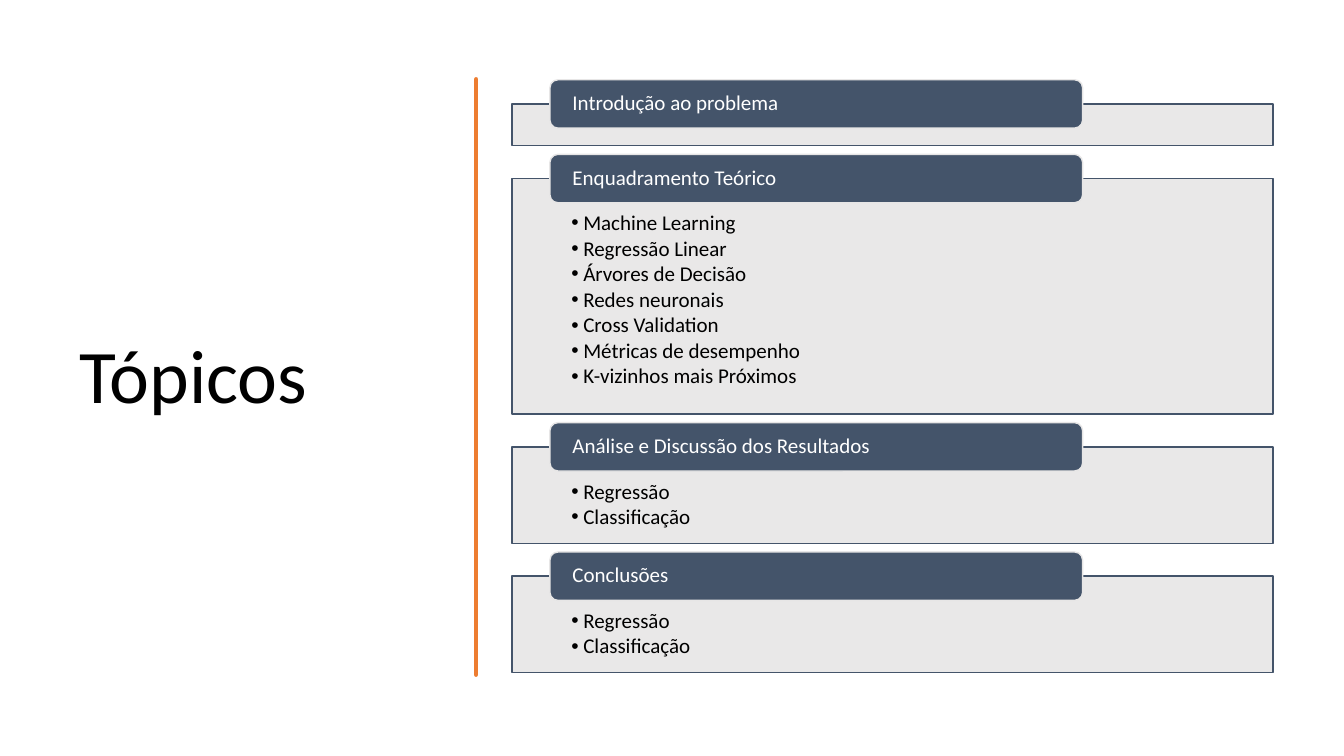
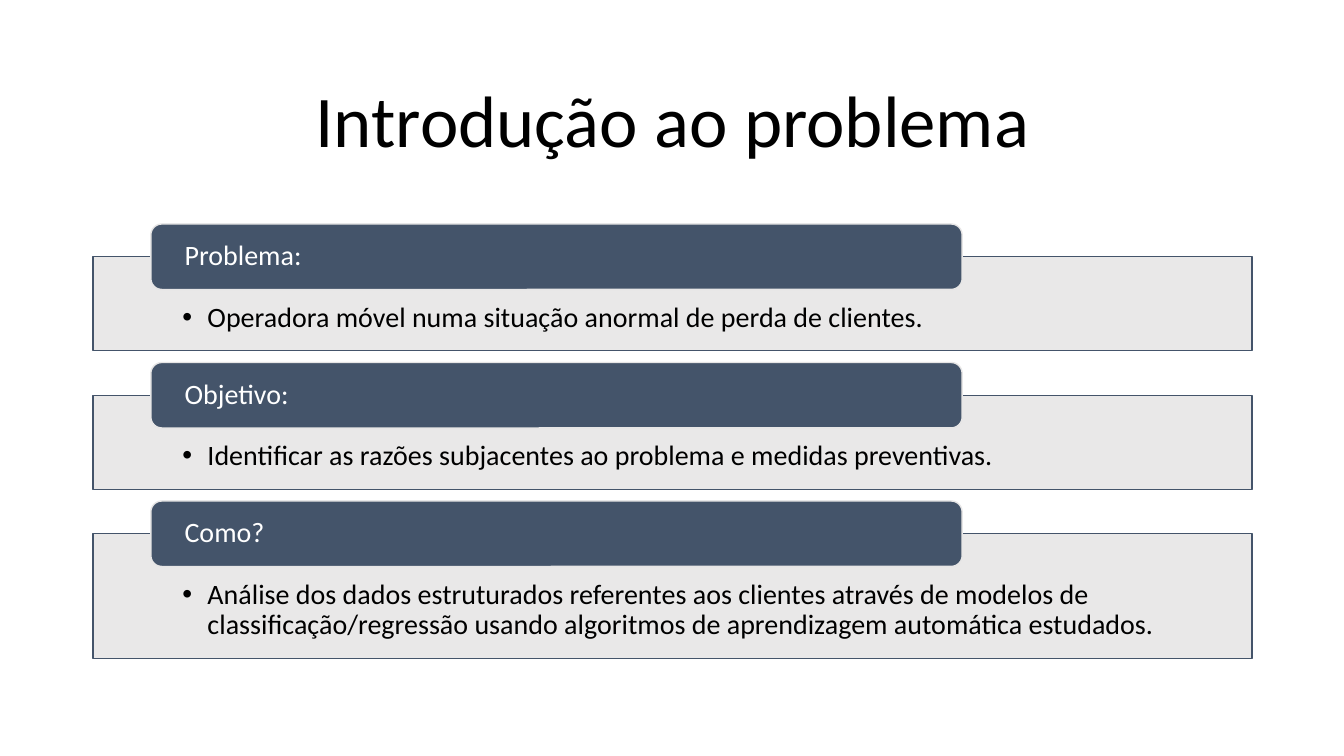
from dataclasses import dataclass

from lxml.etree import SubElement
from pptx import Presentation
from pptx.dml.color import RGBColor
from pptx.enum.shapes import MSO_SHAPE
from pptx.enum.text import MSO_ANCHOR, PP_ALIGN
from pptx.oxml.ns import qn
from pptx.util import Cm, Pt

COLOURS = {
    "text": "000000",
    "tab": "44546A",
    "tab_text": "FFFFFF",
    "panel": "E7E6E6",
    "brush": "ED7D31",
}
FONT = "Calibri"
LINE_SPACING = 0.9
TITLE_ONLY = 5

BRUSH_X = 12.04
BRUSH_RIGHT = [
    (2.13, 0.03), (2.95, 0.06), (3.8, 0.03), (4.6, 0.04), (5.7, 0.02), (6.6, 0.02),
    (7.5, 0.04), (8.4, 0.06), (9.1, 0.03), (10.1, 0.06), (11, 0.04), (11.9, 0.01),
    (12.9, 0.03), (13.9, 0.07), (14.8, 0.03), (15.9, 0.02), (17.17, 0.03),
]
BRUSH_LEFT = [
    (17.17, -0.03), (16.3, -0.06), (15.5, -0.04), (14.6, -0.04), (13.6, -0.05),
    (12.7, -0.03), (11.7, -0.03), (11.1, -0.06), (10.3, -0.03), (9, -0.06),
    (8, -0.04), (7, -0.05), (6, -0.03), (5.2, -0.01), (4.4, -0.07), (3.4, -0.03),
    (2.13, -0.03),
]


@dataclass
class SectionStyle:
    left: float
    top: float
    width: float
    gap: float
    tab_height: float
    tab_margin: float
    panel_margins: tuple
    indent: float
    size: int


TOPICS_STYLE = SectionStyle(12.9, 2.62, 19.18, 0.83, 1.22, 0.51, (1.5, 0.86, 1.5, 0.3), 0.3, 15)
PROBLEM_STYLE = SectionStyle(2.34, 6.47, 29.21, 1.12, 1.65, 0.77, (2.26, 1.17, 2.26, 0.41), 0.63, 20)

TOPICS = [
    ("Introdução ao problema", 1.05, []),
    ("Enquadramento Teórico", 5.93, [
        "Machine Learning",
        "Regressão Linear",
        "Árvores de Decisão",
        "Redes neuronais",
        "Cross Validation",
        "Métricas de desempenho",
        "K-vizinhos mais Próximos",
    ]),
    ("Análise e Discussão dos Resultados", 2.43, ["Regressão", "Classificação"]),
    ("Conclusões", 2.43, ["Regressão", "Classificação"]),
]
PROBLEM = [
    ("Problema:", 2.37, ["Operadora móvel numa situação anormal de perda de clientes."]),
    ("Objetivo:", 2.37, ["Identificar as razões subjacentes ao problema e medidas preventivas."]),
    ("Como?", 3.15, [
        "Análise dos dados estruturados referentes aos clientes através de modelos de "
        "classificação/regressão usando algoritmos de aprendizagem automática estudados."
    ]),
]


def colour(name):
    return RGBColor.from_string(COLOURS[name])


def set_format(target, values):
    for name, value in values.items():
        setattr(target, name, value)


def paint(shape, fill, line, width):
    shape.shadow.inherit = False
    shape.fill.solid()
    shape.fill.fore_color.rgb = colour(fill)
    shape.line.color.rgb = colour(line)
    shape.line.width = Pt(width)


def set_margins(frame, margins):
    sides = ("margin_left", "margin_top", "margin_right", "margin_bottom")
    set_format(frame, dict(zip(sides, map(Cm, margins))))


def write_text(para, text, size, ink, align=PP_ALIGN.LEFT, space_after=0):
    set_format(para, {
        "alignment": align,
        "line_spacing": LINE_SPACING,
        "space_after": Pt(space_after),
    })
    span = para.add_run()
    span.text = text
    set_format(span.font, {"name": FONT, "size": Pt(size)})
    span.font.color.rgb = colour(ink)


def add_bullet(para, indent):
    properties = para._p.get_or_add_pPr()
    properties.set("marL", str(Cm(indent)))
    properties.set("indent", str(-Cm(indent)))
    SubElement(properties, qn("a:buFont"), typeface="Arial")
    SubElement(properties, qn("a:buChar"), char="•")


def set_title(page, text, size, area, align):
    title = page.shapes.title
    set_format(title, dict(zip(("left", "top", "width", "height"), map(Cm, area))))
    set_format(title.text_frame, {"vertical_anchor": MSO_ANCHOR.MIDDLE, "word_wrap": True})
    write_text(title.text_frame.paragraphs[0], text, size, "text", align)


def add_panel(page, top, height, items, style):
    panel = page.shapes.add_shape(
        MSO_SHAPE.RECTANGLE, Cm(style.left), Cm(top), Cm(style.width), Cm(height))
    paint(panel, "panel", "tab", 1)
    fill_colour = panel._element.spPr.find(qn("a:solidFill"))[0]
    SubElement(fill_colour, qn("a:alpha"), val="90000")
    frame = panel.text_frame
    set_format(frame, {"vertical_anchor": MSO_ANCHOR.TOP, "word_wrap": True})
    set_margins(frame, style.panel_margins)
    for index, item in enumerate(items):
        para = frame.add_paragraph() if index else frame.paragraphs[0]
        write_text(para, item, style.size, "text", space_after=2)
        add_bullet(para, style.indent)


def add_tab(page, panel_top, text, style):
    tab = page.shapes.add_shape(
        MSO_SHAPE.ROUNDED_RECTANGLE,
        Cm(style.left + style.width * 0.05), Cm(panel_top - style.tab_height / 2),
        Cm(style.width * 0.7), Cm(style.tab_height))
    paint(tab, "tab", "panel", 1)
    frame = tab.text_frame
    set_format(frame, {"vertical_anchor": MSO_ANCHOR.MIDDLE, "word_wrap": True})
    set_margins(frame, (style.tab_margin, 0, style.tab_margin, 0))
    write_text(frame.paragraphs[0], text, style.size, "tab_text")


def add_sections(page, sections, style):
    top = style.top
    for heading, height, items in sections:
        add_panel(page, top, height, items, style)
        add_tab(page, top, heading, style)
        top += height + style.gap


def add_brush_stroke(page):
    points = [(BRUSH_X + offset, y) for y, offset in BRUSH_RIGHT + BRUSH_LEFT]
    builder = page.shapes.build_freeform(*points[0], scale=Cm(1))
    builder.add_line_segments(points[1:], close=True)
    paint(builder.convert_to_shape(), "brush", "brush", 3.25)


def add_page(deck):
    return deck.slides.add_slide(deck.slide_layouts[TITLE_ONLY])


def main():
    deck = Presentation()
    set_format(deck, {"slide_width": Cm(33.87), "slide_height": Cm(19.05)})

    topics = add_page(deck)
    set_title(topics, "Tópicos", 54, (1.75, 1.78, 9.5, 15.52), PP_ALIGN.LEFT)
    add_brush_stroke(topics)
    add_sections(topics, TOPICS, TOPICS_STYLE)

    problem = add_page(deck)
    set_title(problem, "Introdução ao problema", 52, (2.34, 1.55, 29.21, 3.15), PP_ALIGN.CENTER)
    add_sections(problem, PROBLEM, PROBLEM_STYLE)

    deck.save("out.pptx")


if __name__ == "__main__":
    main()
